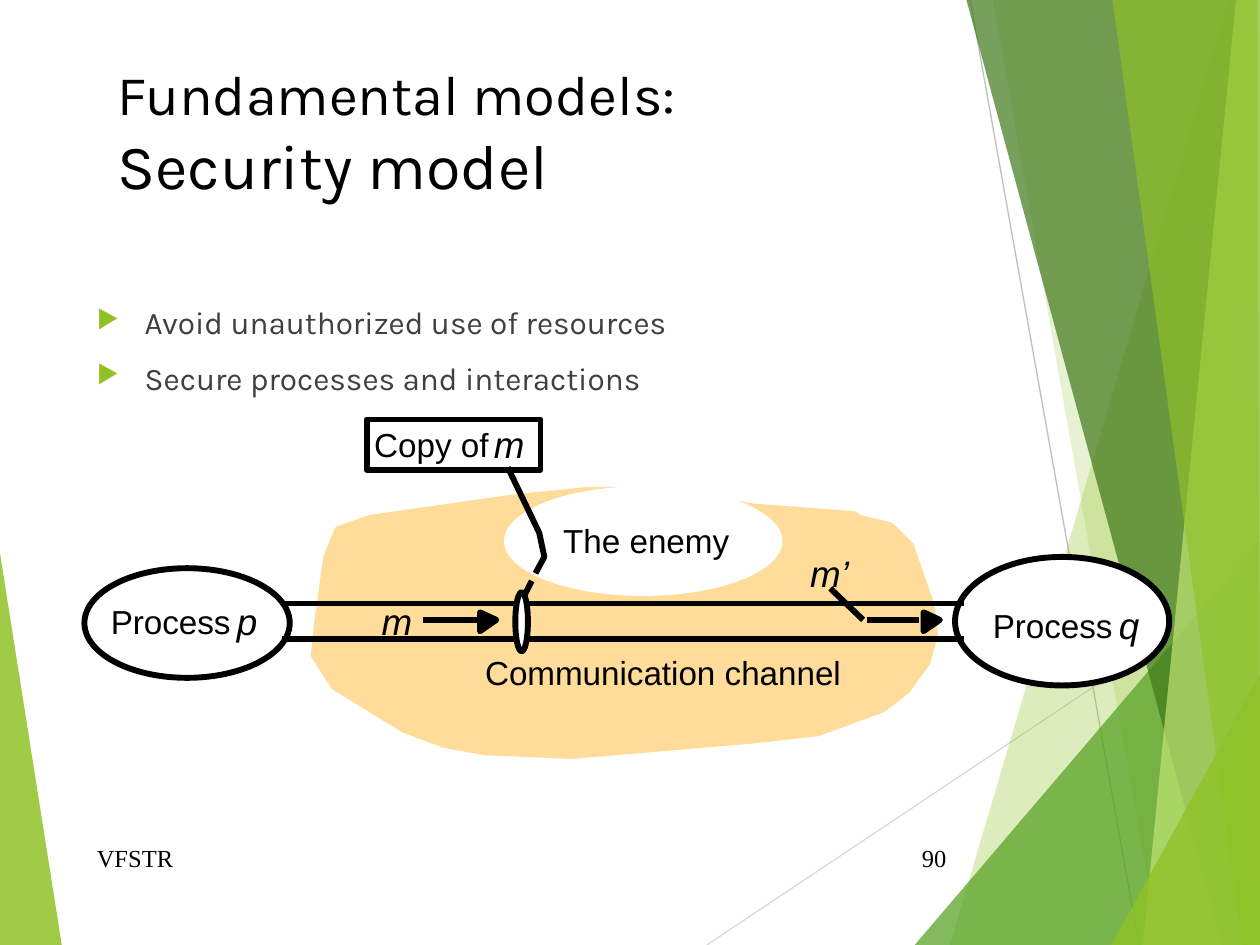
from dataclasses import dataclass
from typing import NamedTuple, Optional

from lxml.etree import SubElement
from pptx import Presentation
from pptx.dml.color import RGBColor as RGB
from pptx.enum.shapes import MSO_CONNECTOR as CONN, MSO_SHAPE as SHAPE
from pptx.enum.text import MSO_ANCHOR as ANCHOR, MSO_AUTO_SIZE as FIT, PP_ALIGN as ALIGN
from pptx.oxml.ns import qn
from pptx.util import Emu, Pt

PX = 9144


@dataclass(frozen=True)
class Theme:
    ink: str = "000000"
    body: str = "404040"
    paper: str = "FFFFFF"
    cloud: str = "FFDC99"
    lime: str = "90C226"
    green: str = "54A021"
    forest: str = "3F7819"
    pale: str = "C0E474"
    light_rule: str = "D9D9D9"
    rule: str = "BFBFBF"
    heading_font: str = "Karla"
    label_font: str = "Arial"
    footer_font: str = "Times New Roman"
    title_size: int = 32
    subtitle_size: int = 36
    bullet_size: int = 18
    label_size: int = 19
    symbol_size: int = 21
    footer_size: int = 14
    stroke: float = 3.37
    hairline: float = 0.75


T = Theme()


class Box(NamedTuple):
    x: int
    y: int
    w: int
    h: int


class Poly(NamedTuple):
    points: list
    fill: Optional[str] = None
    alpha: int = 100
    line: Optional[str] = None
    closed: bool = True


class Line(NamedTuple):
    x1: int
    y1: int
    x2: int
    y2: int
    color: str = T.ink
    width: float = T.stroke


class Solid(NamedTuple):
    box: Box
    kind: SHAPE = SHAPE.OVAL
    fill: Optional[str] = T.paper
    line: Optional[str] = T.ink


class Label(NamedTuple):
    x: int
    y: int
    w: int
    text: str
    symbol: bool = False


def emu(values) -> list:
    return [Emu(v * PX) for v in values]


def set_all(obj, values: dict) -> None:
    for name, value in values.items():
        setattr(obj, name, value)


def style(font, name: str, size: int, color: str, italic: bool = False) -> None:
    set_all(font, {"name": name, "size": Pt(size), "italic": italic})
    font.color.rgb = RGB.from_string(color)


def paint(sp, fill: Optional[str], line: Optional[str], alpha: int = 100) -> None:
    sp.shadow.inherit = False
    if fill:
        sp.fill.solid()
        sp.fill.fore_color.rgb = RGB.from_string(fill)
        if alpha < 100:
            clr = sp.fill._xPr.find(qn("a:solidFill"))[0]
            SubElement(clr, qn("a:alpha"), val=str(alpha * 1000))
    else:
        sp.fill.background()
    if line:
        sp.line.color.rgb = RGB.from_string(line)
        sp.line.width = Pt(T.stroke)
    else:
        sp.line.fill.background()


def draw_poly(s, item: Poly) -> None:
    fb = s.shapes.build_freeform(*item.points[0], scale=PX)
    fb.add_line_segments(item.points[1:], close=item.closed)
    paint(fb.convert_to_shape(), item.fill, item.line, item.alpha)


def draw_line(s, item: Line) -> None:
    cx = s.shapes.add_connector(CONN.STRAIGHT, *emu(item[:4]))
    cx.line.color.rgb = RGB.from_string(item.color)
    cx.line.width = Pt(item.width)
    SubElement(cx._element.spPr, qn("a:effectLst"))


def draw_solid(s, item: Solid) -> None:
    paint(s.shapes.add_shape(item.kind, *emu(item.box)), item.fill, item.line)


def draw_label(s, item: Label) -> None:
    size, h = (T.symbol_size, 35) if item.symbol else (T.label_size, 32)
    tf = s.shapes.add_textbox(*emu((item.x, item.y, item.w, h))).text_frame
    set_all(tf, {"margin_left": 0, "margin_top": 0, "margin_right": 0, "margin_bottom": 0,
                 "word_wrap": False, "auto_size": FIT.SHAPE_TO_FIT_TEXT})
    r = tf.paragraphs[0].add_run()
    r.text = item.text
    style(r.font, T.label_font, size, T.ink, item.symbol)


DRAW = {Poly: draw_poly, Line: draw_line, Solid: draw_solid, Label: draw_label}


def draw_all(s, items: list) -> None:
    for item in items:
        DRAW[type(item)](s, item)


def add_title(s) -> None:
    sp = s.shapes.title
    set_all(sp, dict(zip(("left", "top", "width", "height"), emu(Box(83, 42, 842, 117)))))
    tf = sp.text_frame
    set_all(tf, {"vertical_anchor": ANCHOR.TOP, "auto_size": FIT.NONE, "word_wrap": True})
    p = tf.paragraphs[0]
    p.alignment = ALIGN.LEFT
    for text, size in (("Fundamental models:", T.title_size), ("Security model", T.subtitle_size)):
        if p.runs:
            p.add_line_break()
        r = p.add_run()
        r.text = text
        style(r.font, T.heading_font, size, T.ink)


def add_bullets(s, box: Box, lines: list) -> None:
    tf = s.shapes.add_textbox(*emu(box)).text_frame
    tf.word_wrap = True
    for i, text in enumerate(lines):
        p = tf.paragraphs[0] if i == 0 else tf.add_paragraph()
        pPr = p._p.get_or_add_pPr()
        set_all_xml = {"marL": str(38 * PX), "indent": str(-38 * PX)}
        for name, value in set_all_xml.items():
            pPr.set(name, value)
        SubElement(SubElement(pPr, qn("a:buClr")), qn("a:srgbClr"), val=T.lime)
        SubElement(pPr, qn("a:buSzPct"), val="80000")
        SubElement(pPr, qn("a:buChar"), char="▶")
        p.space_before = Pt(10 if i else 0)
        r = p.add_run()
        r.text = text
        style(r.font, T.heading_font, T.bullet_size, T.body)


def add_footer(s, box: Box, text: str, align: ALIGN) -> None:
    tf = s.shapes.add_textbox(*emu(box)).text_frame
    set_all(tf, {"word_wrap": True, "vertical_anchor": ANCHOR.MIDDLE})
    p = tf.paragraphs[0]
    p.alignment = align
    r = p.add_run()
    r.text = text
    style(r.font, T.footer_font, T.footer_size, T.ink)


def arrow(x1: int, x2: int, head: int) -> list:
    tip = [(head, 492), (head, 486), (head + 13, 492), (head, 501)]
    return [Poly(tip, T.ink, line=T.ink), Line(x1, 492, x2, 492)]


FACETS = [
    Poly([(0, 439), (49, 750), (0, 750)], T.lime, 85),
    Line(561, 750, 1000, 457, T.light_rule, T.hairline),
    Line(770, 0, 904, 750, T.rule, T.hairline),
    Poly([(975, 0), (754, 750), (1000, 750), (1000, 0)], T.lime, 30),
    Poly([(788, 0), (920, 750), (1000, 750), (1000, 0)], T.lime, 20),
    Poly([(726, 750), (1000, 429), (1000, 750)], T.green, 72),
    Poly([(767, 0), (970, 750), (1000, 750), (1000, 0)], T.forest, 70),
    Poly([(981, 0), (907, 750), (1000, 750), (1000, 0)], T.pale, 70),
    Poly([(883, 0), (986, 750), (1000, 750), (998, 0)], T.lime, 65),
    Poly([(882, 750), (1000, 535), (1000, 750)], T.lime, 80),
]

CLOUD = [(678, 408), (598, 402), (521, 389), (464, 389), (406, 395), (294, 411), (268, 420),
         (259, 442), (252, 492), (249, 520), (265, 545), (320, 579), (352, 591), (384, 597),
         (454, 600), (595, 588), (649, 582), (701, 563), (720, 548), (736, 526), (742, 504),
         (739, 479), (723, 433), (707, 417), (682, 411)]

DIAGRAM = [
    Poly(CLOUD, T.cloud, line=T.cloud),
    Solid(Box(400, 386, 221, 87), line=None),
    Label(385, 518, 283, "Communication channel"),
    Label(297, 337, 98, "Copy of"),
    Label(392, 335, 24, "m", True),
    Solid(Box(758, 442, 170, 102)),
    Solid(Box(67, 451, 163, 87)),
    *[Line(224, y, 765, y) for y in (479, 507)],
    Label(88, 477, 103, "Process"),
    Label(188, 475, 16, "p", True),
    Label(788, 480, 103, "Process"),
    Label(888, 478, 16, "q", True),
    Label(303, 475, 24, "m", True),
    *arrow(336, 381, 381),
    Label(447, 413, 132, "The enemy"),
    Solid(Box(291, 333, 138, 40), SHAPE.RECTANGLE, None),
    *arrow(688, 729, 733),
    Label(643, 437, 31, "m’", True),
    Line(685, 492, 659, 467),
    Solid(Box(409, 470, 10, 47)),
    Line(416, 473, 422, 461),
    Poly([(403, 371), (428, 423), (432, 442), (425, 455)], line=T.ink, closed=False),
]


def main() -> None:
    prs = Presentation()
    set_all(prs, {"slide_width": Emu(1000 * PX), "slide_height": Emu(750 * PX)})
    s = prs.slides.add_slide(prs.slide_layouts[5])
    draw_all(s, FACETS)
    add_title(s)
    add_bullets(s, Box(67, 236, 694, 424),
                ["Avoid unauthorized use of resources", "Secure processes and interactions"])
    add_footer(s, Box(67, 661, 506, 40), "VFSTR", ALIGN.LEFT)
    add_footer(s, Box(705, 661, 56, 40), "90", ALIGN.RIGHT)
    draw_all(s, DIAGRAM)
    prs.save("out.pptx")


if __name__ == "__main__":
    main()
